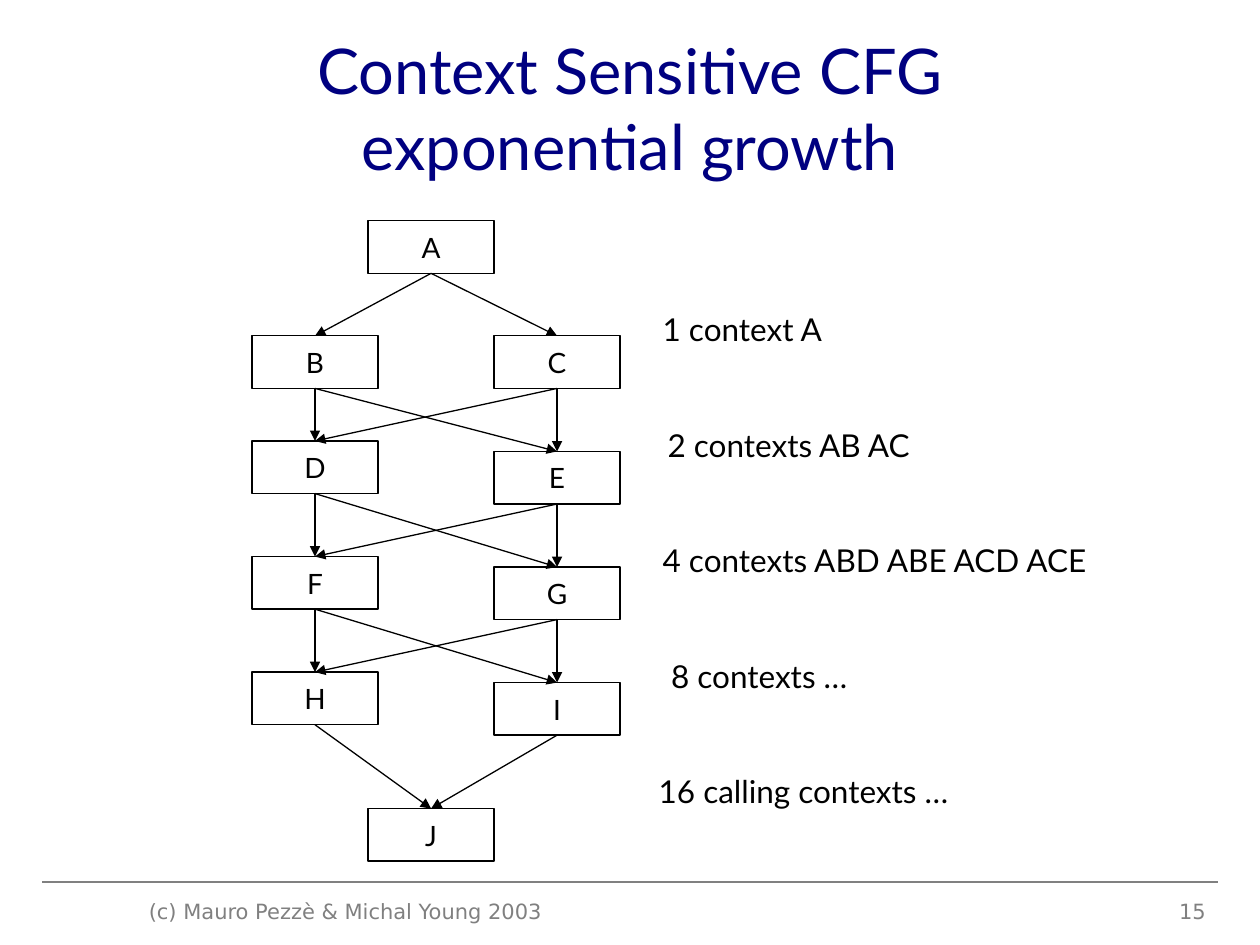
from lxml import etree
from pptx import Presentation
from pptx import util as u
from pptx.dml.color import RGBColor
from pptx.enum import shapes, text
from pptx.oxml.ns import qn

LEFT, MIDDLE, RIGHT = 5.08, 7.42, 9.96


def color(value):
    return RGBColor.from_string(value)


def write(sp, content, size=18, font="Lato", fill="000000", align="LEFT",
          anchor="TOP", wrap=True, grow=False):
    tf = sp.text_frame
    tf.word_wrap = wrap
    tf.vertical_anchor = text.MSO_ANCHOR[anchor]
    tf.auto_size = text.MSO_AUTO_SIZE["SHAPE_TO_FIT_TEXT" if grow else "NONE"]
    p = tf.paragraphs[0]
    p.text = content
    p.alignment = text.PP_ALIGN[align]
    for r in p.runs:
        r.font.size = u.Pt(size)
        r.font.name = font
        r.font.color.rgb = color(fill)


prs = Presentation()
prs.slide_width, prs.slide_height = u.Cm(25.4), u.Cm(19.05)
s = prs.slides.add_slide(prs.slide_layouts[6])

rule = s.shapes.add_connector(
    shapes.MSO_CONNECTOR.STRAIGHT, u.Cm(0.85), u.Cm(17.78), u.Cm(24.55), u.Cm(17.78))
rule.line.color.rgb = color("808080")
rule.line.width = u.Pt(0.75)
etree.SubElement(rule._element.spPr, qn("a:effectLst"))

title = s.shapes.add_textbox(u.Cm(1.27), u.Cm(0.64), u.Cm(22.86), u.Cm(3.05))
write(title, "Context Sensitive CFG\vexponential growth", size=36, fill="000080",
      align="CENTER", anchor="MIDDLE")

nodes = {}
for name, x, y in [
    ("A", MIDDLE, 4.45),
    ("B", LEFT, 6.77), ("C", RIGHT, 6.77),
    ("D", LEFT, 8.89), ("E", RIGHT, 9.1),
    ("F", LEFT, 11.22), ("G", RIGHT, 11.43),
    ("H", LEFT, 13.55), ("I", RIGHT, 13.76),
    ("J", MIDDLE, 16.3),
]:
    sp = s.shapes.add_shape(
        shapes.MSO_SHAPE.RECTANGLE, u.Cm(x), u.Cm(y), u.Cm(2.54), u.Cm(1.06))
    sp.shadow.inherit = False
    sp.fill.background()
    sp.line.color.rgb = color("000000")
    sp.line.width = u.Pt(0.75)
    write(sp, name, size=16, align="CENTER", anchor="MIDDLE", wrap=False)
    nodes[name] = sp

levels = ["A", "BC", "DE", "FG", "HI", "J"]
for callers, callees in zip(levels, levels[1:]):
    for caller in callers:
        for callee in callees:
            call = s.shapes.add_connector(shapes.MSO_CONNECTOR.STRAIGHT, 0, 0, 0, 0)
            call.begin_connect(nodes[caller], 2)
            call.end_connect(nodes[callee], 0)
            call.line.color.rgb = color("000000")
            call.line.width = u.Pt(0.75)
            etree.SubElement(call.line._get_or_add_ln(), qn("a:tailEnd"), type="triangle")
            etree.SubElement(call._element.spPr, qn("a:effectLst"))

for i, (label, x, width) in enumerate([
    ("1 context A", 13.11, 3.84),
    ("2 contexts AB AC", 13.21, 5.51),
    ("4 contexts ABD ABE ACD ACE", 13.11, 9.12),
    ("8 contexts …", 13.28, 4.24),
    ("16 calling contexts …", 13.03, 6.71),
]):
    sp = s.shapes.add_textbox(u.Cm(x), u.Cm(6.12 + 2.33 * i), u.Cm(width), u.Cm(1.02))
    write(sp, label, anchor="BOTTOM", wrap=False, grow=True)

for content, x, width, align in [
    ("(c) Mauro Pezzè & Michal Young 2003", 2.75, 8.89, "LEFT"),
    ("15", 18.63, 5.93, "RIGHT"),
]:
    sp = s.shapes.add_textbox(u.Cm(x), u.Cm(17.99), u.Cm(width), u.Cm(0.69))
    write(sp, content, size=12, font="DejaVu Sans", fill="808080", align=align)

prs.save("out.pptx")
